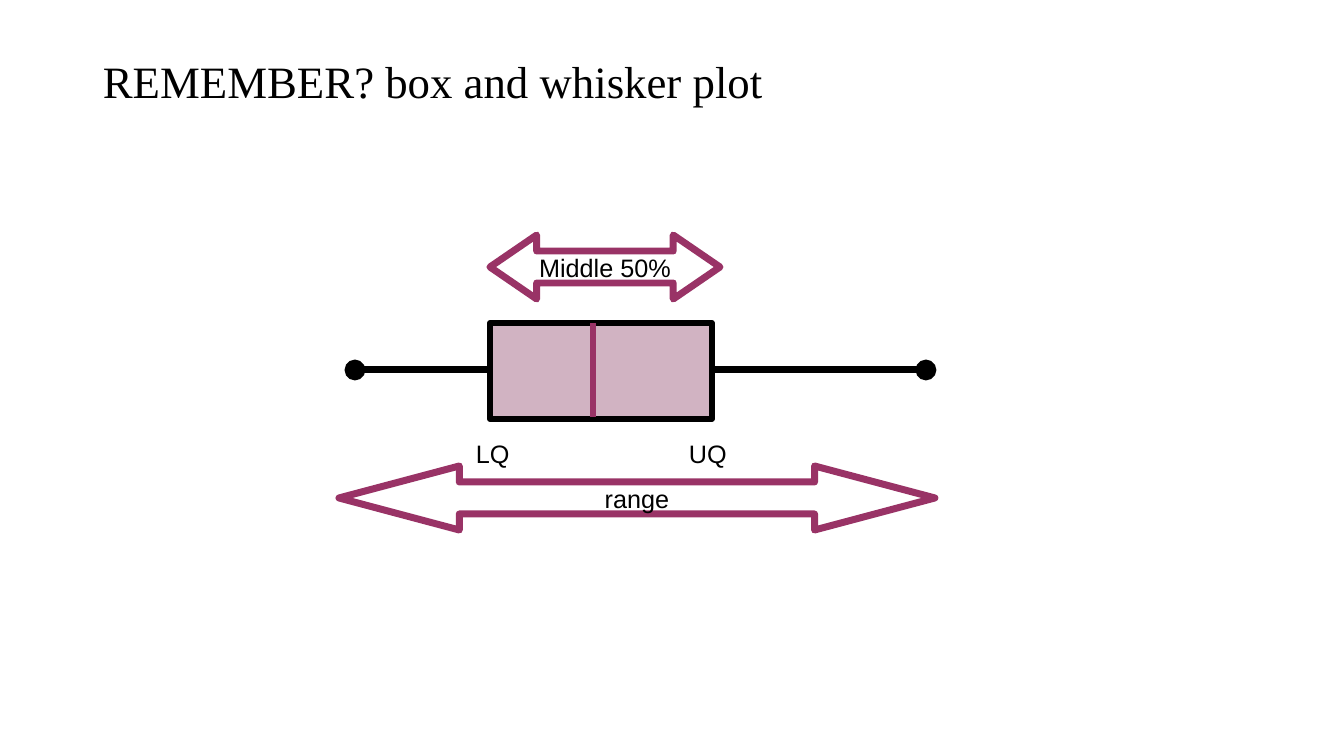
from dataclasses import dataclass

from lxml.etree import SubElement
from pptx import Presentation
from pptx.dml.color import RGBColor
from pptx.enum.shapes import MSO_CONNECTOR, MSO_SHAPE
from pptx.enum.text import MSO_ANCHOR, PP_ALIGN
from pptx.oxml.ns import qn
from pptx.shapes.autoshape import Shape
from pptx.text.text import TextFrame
from pptx.util import Emu, Pt

SCALE = 914400 / 100.8
COLORS = {"black": "000000", "white": "FFFFFF", "plum": "993366", "mauve": "954F72"}


@dataclass
class Area:
    left: int
    top: int
    width: int
    height: int


@dataclass
class Label:
    text: str
    area: Area
    size: int = 18
    face: str = "Arial"
    spacing: float = 1.0
    anchor: MSO_ANCHOR = MSO_ANCHOR.TOP


@dataclass
class Arrow:
    text: str
    area: Area
    head: float


@dataclass
class Stroke:
    start: tuple[int, int]
    end: tuple[int, int]
    color: str
    weight: float
    dot: bool = False


BOX = Area(490, 323, 222, 96)
MID = BOX.top + 47
LABELS = [
    Label("REMEMBER? box and whisker plot", Area(93, 40, 1159, 88), 32,
          "Times New Roman", 0.9, MSO_ANCHOR.MIDDLE),
    Label("LQ", Area(466, 433, 64, 40)),
    Label("UQ", Area(679, 433, 64, 40)),
]
STROKES = [
    Stroke((593, BOX.top), (593, 417), "plum", 4),
    Stroke((BOX.left + BOX.width, MID), (926, MID), "black", 5, True),
    Stroke((BOX.left, MID), (355, MID), "black", 5, True),
]
ARROWS = [
    Arrow("Middle 50%", Area(490, 235, 230, 64), 0.73),
    Arrow("range", Area(339, 466, 596, 64), 1.88),
]

deck = Presentation()
deck.slide_width, deck.slide_height = Emu(12192000), Emu(6858000)
slide = deck.slides.add_slide(deck.slide_layouts[6])


def px(*values: int) -> list[Emu]:
    """Turn pixels into EMU."""
    return [Emu(round(value * SCALE)) for value in values]


def place(area: Area) -> list[Emu]:
    """Give the left, top, width and height of an area in EMU."""
    return px(area.left, area.top, area.width, area.height)


def tint(name: str) -> RGBColor:
    """Look up a named colour."""
    return RGBColor.from_string(COLORS[name])


def write(frame: TextFrame, text: str, size: int = 18, face: str = "Arial") -> None:
    """Put one styled paragraph in a frame."""
    frame.text = text
    font = frame.paragraphs[0].font
    font.size, font.name = Pt(size), face
    font.color.rgb = tint("black")


def draw_shape(kind: MSO_SHAPE, area: Area, fill: str, alpha: int,
               line: str, weight: float) -> Shape:
    """Draw a preset shape with a translucent fill."""
    shape = slide.shapes.add_shape(kind, *place(area))
    shape.shadow.inherit = False
    shape.fill.solid()
    shape.fill.fore_color.rgb = tint(fill)
    color = shape.fill._xPr.find(qn("a:solidFill"))[0]
    SubElement(color, qn("a:alpha"), val=str(alpha * 1000))
    shape.line.color.rgb = tint(line)
    shape.line.width = Pt(weight)
    return shape


def draw_stroke(item: Stroke) -> None:
    """Draw a line, with a dot at its end if asked."""
    line = slide.shapes.add_connector(
        MSO_CONNECTOR.STRAIGHT, *px(*item.start, *item.end))
    line.line.color.rgb = tint(item.color)
    line.line.width = Pt(item.weight)
    if item.dot:
        SubElement(line.line._get_or_add_ln(), qn("a:tailEnd"), type="oval")
    SubElement(line._element.spPr, qn("a:effectLst"))


def draw_label(item: Label) -> None:
    """Draw a text box."""
    frame = slide.shapes.add_textbox(*place(item.area)).text_frame
    frame.word_wrap = True
    frame.vertical_anchor = item.anchor
    write(frame, item.text, item.size, item.face)
    frame.paragraphs[0].line_spacing = item.spacing


def draw_arrow(item: Arrow) -> None:
    """Draw a double arrow with centred text."""
    shape = draw_shape(MSO_SHAPE.LEFT_RIGHT_ARROW, item.area, "white", 67, "plum", 5)
    shape.adjustments[0], shape.adjustments[1] = 0.5, item.head
    frame = shape.text_frame
    frame.word_wrap = False
    frame.vertical_anchor = MSO_ANCHOR.MIDDLE
    write(frame, item.text)
    frame.paragraphs[0].alignment = PP_ALIGN.CENTER


draw_shape(MSO_SHAPE.RECTANGLE, BOX, "mauve", 43, "black", 4.25)
for stroke in STROKES:
    draw_stroke(stroke)
for label in LABELS:
    draw_label(label)
for arrow in ARROWS:
    draw_arrow(arrow)
deck.save("out.pptx")
